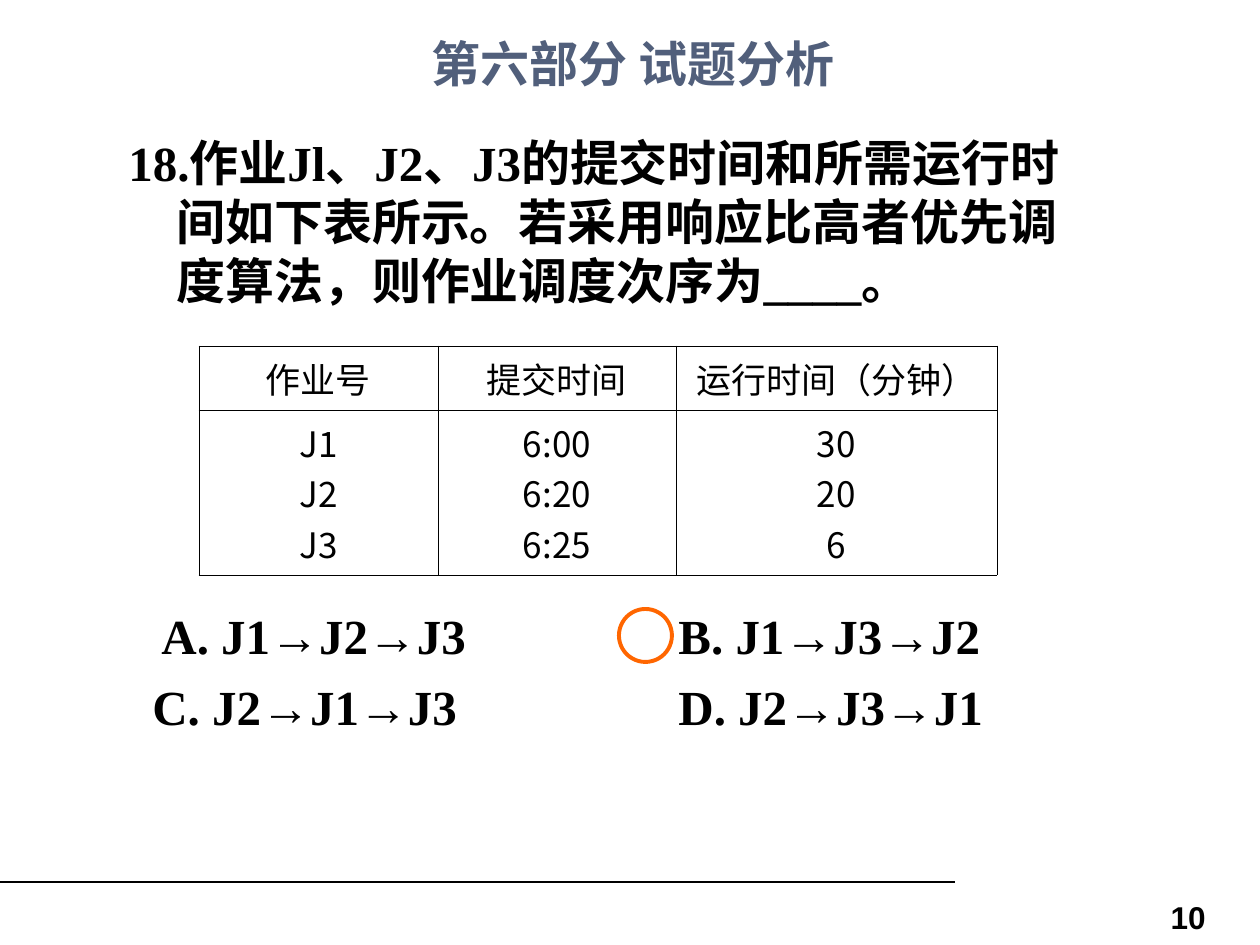
from lxml import etree
from pptx import Presentation
from pptx.dml.color import RGBColor
from pptx.enum.shapes import MSO_CONNECTOR, MSO_SHAPE
from pptx.enum.text import MSO_ANCHOR, PP_ALIGN
from pptx.oxml.ns import qn
from pptx.util import Emu, Pt

LEFT, CENTER, RIGHT = PP_ALIGN.LEFT, PP_ALIGN.CENTER, PP_ALIGN.RIGHT
TOP, MIDDLE = MSO_ANCHOR.TOP, MSO_ANCHOR.MIDDLE
STRAIGHT, OVAL = MSO_CONNECTOR.STRAIGHT, MSO_SHAPE.OVAL
SERIF, SANS, CHINESE = "Times New Roman", "Arial", "Noto Sans CJK SC"
BLACK, SLATE, ORANGE = "000000", "515F7B", "FF6600"
PX_PER_INCH = 126
BODY_LINE = 59
OPTION_PITCH = 71
JOBS = [["J1", "J2", "J3"], ["6:00", "6:20", "6:25"], ["30", "20", "6"]]
HEADERS = ["作业号", "提交时间", "运行时间（分钟）"]
QUESTION = ("18.作业Jl、J2、J3的提交时间和所需运行时间如下表所示。"
            "若采用响应比高者优先调度算法，则作业调度次序为____。")
OPTIONS = [[(33, "A. J1→J2→J3"), (550, "B. J1→J3→J2")],
           [(24, "C. J2→J1→J3"), (550, "D. J2→J3→J1")]]


def px(length):
    """Turn pixels into EMU."""
    return Emu(round(length * 914400 / PX_PER_INCH))


def color(value):
    """Turn a hex string into a colour."""
    return RGBColor.from_string(value)


def write(paragraph, text, size=28, font=SERIF, fill=BLACK, bold=True, align=LEFT,
          hanging=0, line=None):
    """Put formatted text into a paragraph."""
    properties = paragraph._p.get_or_add_pPr()
    properties.set("marL", str(px(hanging)))
    properties.set("indent", str(-px(hanging)))
    paragraph.alignment = align
    if line:
        paragraph.line_spacing = Pt(round(px(line).pt, 1))
    run = paragraph.add_run()
    run.text = text
    run.font.size, run.font.bold, run.font.name = Pt(size), bold, font
    run.font.color.rgb = color(fill)
    if font == CHINESE:
        east_asian = etree.SubElement(run._r.get_or_add_rPr(), qn("a:ea"))
        east_asian.set("typeface", font)


def add_text_box(slide, box, text, anchor=TOP, **style):
    """Add a wrapping text box with one formatted paragraph."""
    frame = slide.shapes.add_textbox(*map(px, box)).text_frame
    frame.word_wrap = True
    frame.vertical_anchor = anchor
    write(frame.paragraphs[0], text, **style)


def add_title(slide, box):
    """Add the centred slide title."""
    add_text_box(slide, box, "第六部分 试题分析", MIDDLE, font=CHINESE, fill=SLATE, align=CENTER)


def add_question(slide, box):
    """Add the question with its hanging number."""
    add_text_box(slide, box, QUESTION, hanging=48, line=BODY_LINE)


def draw_borders(cell):
    """Draw thin black borders on all sides of a cell."""
    properties = cell._tc.get_or_add_tcPr()
    for position, side in enumerate(("a:lnL", "a:lnR", "a:lnT", "a:lnB")):
        border = etree.Element(qn(side), w=str(Pt(0.45)))
        fill = etree.SubElement(border, qn("a:solidFill"))
        etree.SubElement(fill, qn("a:srgbClr"), val=BLACK)
        properties.insert(position, border)


def add_job_table(slide, box):
    """Add the table of submit and run times."""
    left, top, width, height = box
    table = slide.shapes.add_table(2, 3, *map(px, box)).table
    table.first_row = table.horz_banding = False
    for column, share in zip(table.columns, (239, 238, width - 477)):
        column.width = px(share)
    for row, share in zip(table.rows, (64, height - 64)):
        row.height = px(share)
    for column, (header, values) in enumerate(zip(HEADERS, JOBS)):
        for row, lines in enumerate(([header], values)):
            cell = table.cell(row, column)
            cell.fill.background()
            draw_borders(cell)
            for number, text in enumerate(lines):
                frame = cell.text_frame
                paragraph = frame.add_paragraph() if number else frame.paragraphs[0]
                write(paragraph, text, size=20, font=CHINESE, bold=False, align=CENTER)


def add_options(slide, box):
    """Add the four answers in two columns and circle the right one."""
    left, top, width, height = box
    for row, options in enumerate(OPTIONS):
        for offset, text in options:
            option_box = (left + offset, top + row * OPTION_PITCH, 400, OPTION_PITCH)
            add_text_box(slide, option_box, text, line=BODY_LINE)
    circle = slide.shapes.add_shape(OVAL, px(left + 503), px(top + 10), px(53), px(53))
    circle.shadow.inherit = False
    circle.fill.background()
    circle.line.color.rgb = color(ORANGE)
    circle.line.width = Pt(2.25)


def add_footer(slide, box):
    """Add the rule and the page number."""
    left, top, width, height = box
    rule = slide.shapes.add_connector(STRAIGHT, px(left), px(top), px(left + 955), px(top))
    rule.line.color.rgb = color(BLACK)
    rule.line.width = Pt(0.75)
    etree.SubElement(rule._element.spPr, qn("a:effectLst"))
    number_box = (left + width - 294, top + 10, 294, height - 10)
    add_text_box(slide, number_box, "10", size=18, font=SANS, align=RIGHT)


def main():
    """Build and save the slide."""
    presentation = Presentation()
    presentation.slide_width, presentation.slide_height = px(1260), px(945)
    slide = presentation.slides.add_slide(presentation.slide_layouts[6])
    add_footer(slide, (0, 882, 1218, 44))
    add_title(slide, (63, 31, 1140, 63))
    add_question(slide, (116, 126, 976, 190))
    add_job_table(slide, (199, 346, 798, 229))
    add_options(slide, (116, 599, 976, 142))
    presentation.save("out.pptx")


if __name__ == "__main__":
    main()
